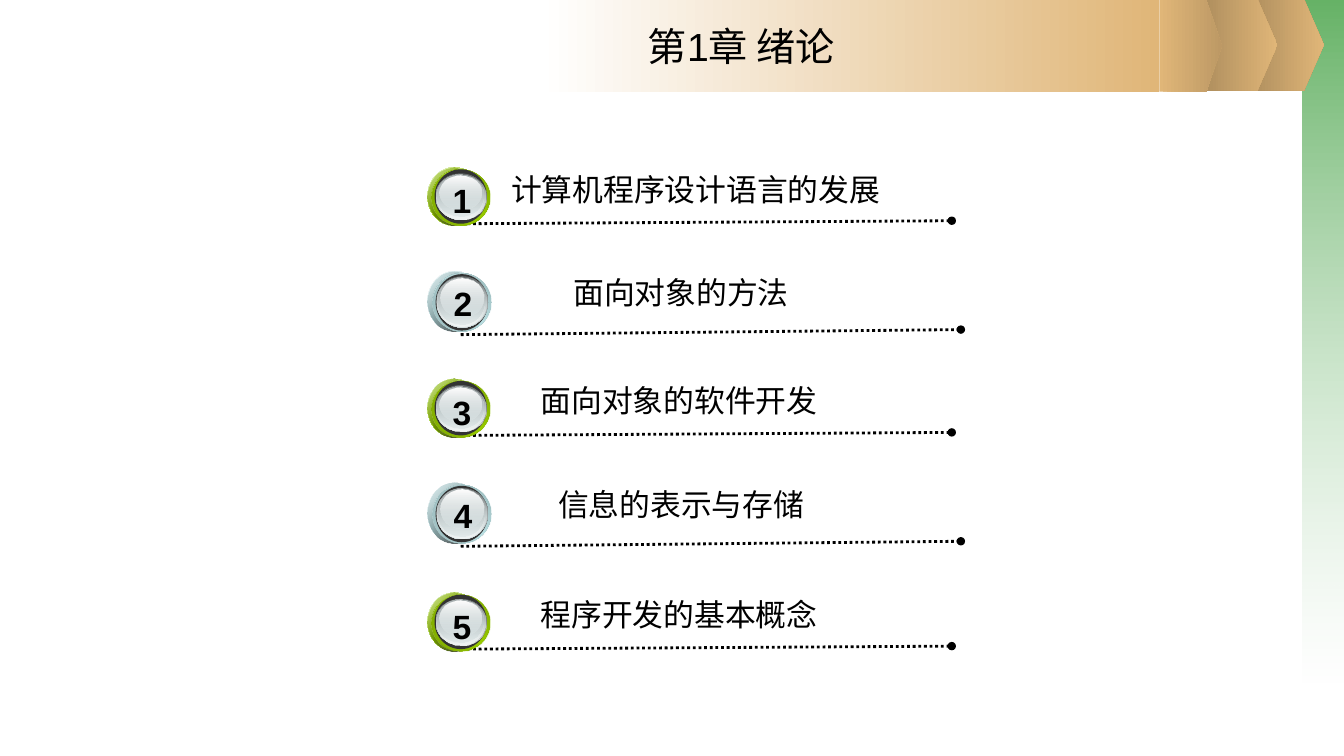
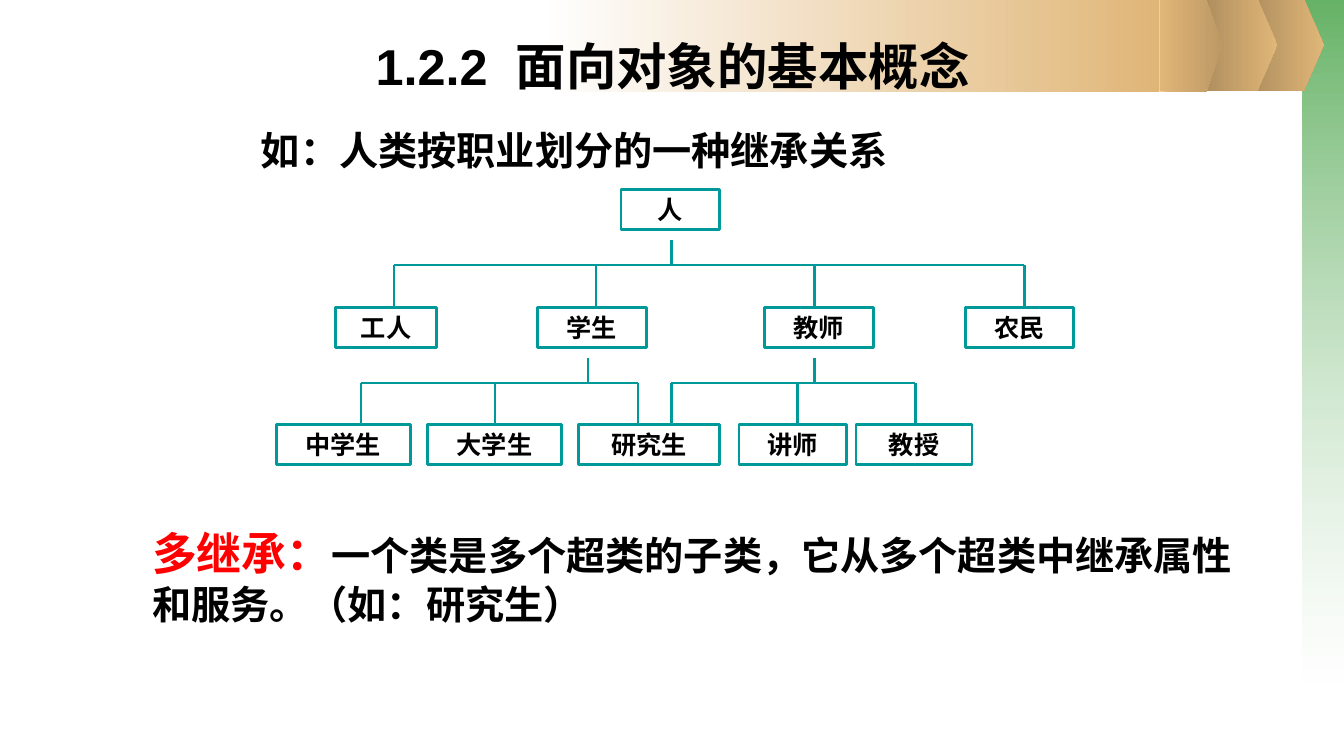
from lxml import etree
from pptx import Presentation
from pptx.dml.color import RGBColor
from pptx.enum.dml import MSO_LINE
from pptx.enum.lang import MSO_LANGUAGE_ID
from pptx.enum.shapes import MSO_CONNECTOR, MSO_SHAPE
from pptx.enum.text import MSO_ANCHOR, MSO_AUTO_SIZE, PP_ALIGN
from pptx.oxml.ns import qn
from pptx.util import Emu, Pt

PX = 9144  # 100 px to the inch
SLIDE_W, SLIDE_H = 1333, 750

RECT, OVAL, PLATE = MSO_SHAPE.RECTANGLE, MSO_SHAPE.OVAL, MSO_SHAPE.PENTAGON
STRAIGHT = MSO_CONNECTOR.STRAIGHT
DOTTED = MSO_LINE.ROUND_DOT
LEFT, CENTER = PP_ALIGN.LEFT, PP_ALIGN.CENTER
TOP, MIDDLE = MSO_ANCHOR.TOP, MSO_ANCHOR.MIDDLE
NO_AUTOFIT = MSO_AUTO_SIZE.NONE
CHINESE = MSO_LANGUAGE_ID.SIMPLIFIED_CHINESE

BLACK = RGBColor(0x00, 0x00, 0x00)
WHITE = RGBColor(0xFF, 0xFF, 0xFF)
RED = RGBColor(0xFF, 0x00, 0x00)
TEAL = RGBColor(0x00, 0x99, 0x99)
LEAF = RGBColor(0x33, 0x99, 0x33)
SAND = RGBColor(0xE0, 0xB6, 0x78)
SAND_DARK = RGBColor(0xAB, 0x8B, 0x5C)
SAND_MID = RGBColor(0xBD, 0x99, 0x65)
CHARCOAL = RGBColor(0x33, 0x33, 0x33)
STEEL = RGBColor(0x63, 0x68, 0x69)
STEEL_MID = RGBColor(0xAA, 0xB2, 0xB3)
MIST = RGBColor(0xD6, 0xE1, 0xE2)
MIST_LIGHT = RGBColor(0xF1, 0xF5, 0xF5)

# Rim colours of a badge: base, shade, tint
GREEN_RIM = (RGBColor(0x99, 0xCC, 0x00), RGBColor(0x75, 0x9C, 0x00),
             RGBColor(0x7E, 0xA7, 0x00))
SILVER_RIM = (RGBColor(0xBB, 0xE0, 0xE3), RGBColor(0x8F, 0xAC, 0xAE),
              RGBColor(0x9A, 0xB8, 0xBA))

# Badge discs from back to front, relative to the badge's corner
GREEN_DISCS = ((0, 0, 53, 58), (0, 0, 53, 58), (4, 2, 58, 56), (4, 2, 58, 56),
               (7, 2, 52, 54), (8, 6, 50, 46), (9, 7, 49, 45), (9, 7, 47, 42),
               (12, 8, 42, 34))
SILVER_DISCS = ((0, 0, 54, 60), (0, 0, 54, 60), (5, 2, 58, 58), (5, 2, 58, 58),
                (8, 3, 52, 56), (9, 5, 51, 51), (9, 5, 49, 50), (10, 6, 47, 47),
                (13, 7, 42, 38))

# Contents rows: top, label box left and width, text
BADGE_X = 424
CHAPTERS = (
    (166, 432, 516, "计算机程序设计语言的发展"),
    (269, 434, 483, "面向对象的方法"),
    (376, 432, 483, "面向对象的软件开发"),
    (479, 434, 483, "信息的表示与存储"),
    (588, 432, 483, "程序开发的基本概念"),
)

# Inheritance tree: boxes of each level as left, width, text
LEVEL_TOPS = (188, 305, 421)
BOX_H = 40
LEVELS = (
    ((616, 98, "人"),),
    ((333, 100, "工人"), (533, 108, "学生"), (758, 108, "教师"), (958, 107, "农民")),
    ((274, 133, "中学生"), (424, 133, "大学生"), (574, 140, "研究生"),
     (733, 107, "讲师"), (849, 115, "教授")),
)
# Branches: parent level, stem x, child x positions
BRANCHES = (
    (0, 666, (391, 591, 808, 1016)),
    (1, 583, (358, 491, 633)),
    (1, 808, (666, 791, 908)),
)
STEM_START, STEM_END = 50, 75


def px(*lengths):
    return [Emu(length * PX) for length in lengths]


def write(frame, *runs, size=18, bold=False, color=BLACK, font="Arial",
          align=LEFT, anchor=TOP):
    """Write runs, each a string or a (string, size, color) tuple."""
    frame.word_wrap = True
    frame.auto_size = NO_AUTOFIT
    frame.vertical_anchor = anchor
    paragraph = frame.paragraphs[0]
    paragraph.alignment = align
    for item in runs:
        words, run_size, run_color = (
            (item, size, color) if isinstance(item, str) else item)
        run = paragraph.add_run()
        run.text = words
        run.font.name = font
        run.font.size = Pt(run_size)
        run.font.bold = bold
        run.font.color.rgb = run_color
        run.font.language_id = CHINESE


def add_text(shapes, box, *runs, **text_format):
    write(shapes.add_textbox(*px(*box)).text_frame, *runs, **text_format)


def set_title(slide, box, words, **text_format):
    title = slide.shapes.title
    title.left, title.top, title.width, title.height = px(*box)
    write(title.text_frame, words, align=CENTER, **text_format)


def fill_gradient(shape, angle, *stops):
    """Fill with stops given as (position, color) or (position, color, opacity)."""
    shape.fill.gradient()
    gradient = shape.fill._xPr.find(qn("a:gradFill"))
    for child in list(gradient):
        gradient.remove(child)
    stop_list = etree.SubElement(gradient, qn("a:gsLst"))
    for position, color, *opacity in stops:
        stop = etree.SubElement(stop_list, qn("a:gs"), pos=str(position * 1000))
        tone = etree.SubElement(stop, qn("a:srgbClr"), val=str(color))
        for percent in opacity:
            etree.SubElement(tone, qn("a:alpha"), val=str(percent * 1000))
    etree.SubElement(gradient, qn("a:lin"), ang=str(angle * 60000), scaled="0")


def add_figure(shapes, kind, box, fill=None, gradient=None, outline=None):
    figure = shapes.add_shape(kind, *px(*box))
    figure.shadow.inherit = False
    if gradient:
        fill_gradient(figure, *gradient)
    elif fill:
        figure.fill.solid()
        figure.fill.fore_color.rgb = fill
    else:
        figure.fill.background()
    if outline:
        figure.line.color.rgb = outline
        figure.line.width = Pt(2)
    else:
        figure.line.fill.background()
    return figure


def add_line(shapes, start, end, color, width, dash=None, tail=None):
    connector = shapes.add_connector(STRAIGHT, *px(*start, *end))
    connector.line.color.rgb = color
    connector.line.width = Pt(width)
    if dash:
        connector.line.dash_style = dash
    if tail:
        etree.SubElement(connector.line._get_or_add_ln(), qn("a:tailEnd"), type=tail)
    etree.SubElement(connector._element.spPr, qn("a:effectLst"))


def decorate_layout(layout, slide):
    """Draw the shared bands on a slide, then move them behind its layout."""
    bands = (
        (RECT, (1292, 0, 41, 677), (90, (0, LEAF, 75), (100, WHITE, 37))),
        (PLATE, (1234, -1, 79, 91), (0, (0, SAND_DARK), (100, SAND))),
        (PLATE, (1188, -1, 79, 91), (0, (0, SAND_DARK), (100, SAND))),
        (RECT, (536, 0, 614, 91), (0, (0, WHITE), (100, SAND))),
        (PLATE, (1150, 0, 62, 91), (0, (0, SAND), (100, SAND_MID))),
    )
    layout_tree = layout.shapes.element
    for depth, (kind, box, gradient) in enumerate(bands):
        band = add_figure(slide.shapes, kind, box, gradient=gradient)
        if kind == PLATE:
            band.adjustments[0] = 0.25
        layout_tree.insert(2 + depth, band._element)


def add_badge(shapes, top, number, rim, discs):
    base, shade, tint = rim
    coats = (
        (45, (0, WHITE), (50, base), (100, WHITE)),
        (45, (0, base, 32), (100, BLACK, 90)),
        (315, (0, shade), (50, base), (100, shade)),
        (45, (0, tint), (100, base, 0)),
        None,  # plain dark ring
        (90, (0, STEEL), (100, MIST)),
        (90, (0, MIST, 0), (100, MIST_LIGHT)),
        (90, (0, STEEL_MID), (100, MIST, 48)),
        (90, (0, WHITE), (100, MIST, 38)),
    )
    badge = shapes.add_group_shape().shapes
    for (dx, dy, width, height), coat in zip(discs, coats):
        add_figure(badge, OVAL, (BADGE_X + dx, top + dy, width, height),
                   fill=CHARCOAL, gradient=coat)
    dx, dy = discs[-1][:2]
    add_text(badge, (BADGE_X + dx + 3, top + dy, 37, 50), str(number),
             size=24, bold=True, align=CENTER)


def build_contents(slide):
    set_title(slide, (170, 14, 1131, 62), "第1章 绪论", size=28, anchor=MIDDLE)
    for number, (top, left, width, words) in enumerate(CHAPTERS, 1):
        if number % 2:
            rim, discs = GREEN_RIM, GREEN_DISCS
            start, end = (458, top + 56), (944, top + 53)
        else:
            rim, discs = SILVER_RIM, SILVER_DISCS
            start, end = (457, top + 63), (953, top + 58)
        add_line(slide.shapes, start, end, BLACK, 2, dash=DOTTED, tail="oval")
        add_badge(slide.shapes, top, number, rim, discs)
        add_text(slide.shapes, (left, top - 2, width, 47), words,
                 size=22, align=CENTER)


def add_tree(shapes):
    tree = shapes.add_group_shape().shapes
    for top, boxes in zip(LEVEL_TOPS, LEVELS):
        for left, width, words in boxes:
            box = add_figure(tree, RECT, (left, top, width, BOX_H), outline=TEAL)
            write(box.text_frame, words, bold=True, align=CENTER, anchor=MIDDLE)
    for level, stem_x, child_xs in BRANCHES:
        stem_top = LEVEL_TOPS[level] + STEM_START
        bus = LEVEL_TOPS[level] + STEM_END
        child_top = LEVEL_TOPS[level + 1]
        segments = [((stem_x, stem_top), (stem_x, bus)),
                    ((child_xs[0], bus), (child_xs[-1], bus))]
        segments += [((x, bus), (x, child_top)) for x in child_xs]
        for start, end in segments:
            add_line(tree, start, end, TEAL, 1.75)


def build_inheritance(slide):
    set_title(slide, (67, 30, 1200, 125), "1.2.2  面向对象的基本概念",
              size=36, bold=True)
    add_text(slide.shapes, (249, 120, 850, 58), "如：人类按职业划分的一种继承关系",
             size=28, bold=True, font="Times New Roman")
    add_tree(slide.shapes)
    add_text(slide.shapes, (141, 517, 1093, 111),
             ("多继承：", 32, RED),
             "一个类是多个超类的子类，它从多个超类中继承属性和服务。（如：研究生）",
             size=28, bold=True)


def main():
    deck = Presentation()
    deck.slide_width, deck.slide_height = px(SLIDE_W, SLIDE_H)
    title_only = deck.slide_layouts[5]
    contents = deck.slides.add_slide(title_only)
    decorate_layout(title_only, contents)
    build_contents(contents)
    build_inheritance(deck.slides.add_slide(title_only))
    deck.save("out.pptx")


if __name__ == "__main__":
    main()
